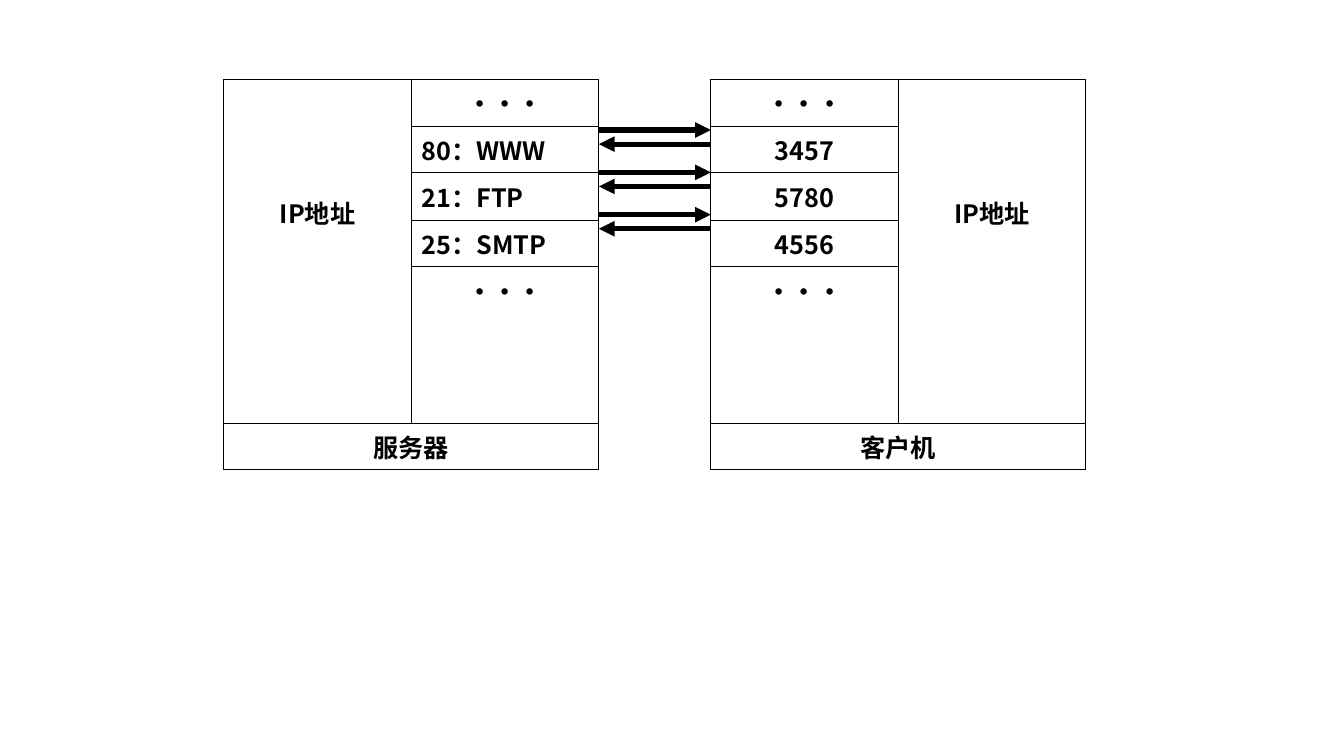
from lxml.etree import SubElement
from pptx import Presentation
from pptx.dml.color import RGBColor
from pptx.enum.lang import MSO_LANGUAGE_ID as Language
from pptx.enum.shapes import MSO_CONNECTOR as Connector
from pptx.enum.text import PP_ALIGN as Align
from pptx.oxml import parse_xml
from pptx.oxml.ns import nsdecls, qn
from pptx.util import Inches, Pt

BLACK = RGBColor(0, 0, 0)
FONT = "Noto Sans CJK SC"
ROW_HEIGHTS = [0.46, 0.46, 0.47, 0.46, 1.55, 0.46]
ADDRESS_TOP = 1.14
DOTS = "···"


def add_borders(cell):
    """Draw a thin black border on every side of a cell."""
    properties = cell._tc.get_or_add_tcPr()
    for index, side in enumerate(("lnL", "lnR", "lnT", "lnB")):
        properties.insert(index, parse_xml(
            f'<a:{side} {nsdecls("a")} w="12700"><a:solidFill>'
            f'<a:srgbClr val="{BLACK}"/></a:solidFill></a:{side}>'))


def write_cell(cell, text, align=Align.CENTER):
    """Write one bold line of text in a cell."""
    para = cell.text_frame.paragraphs[0]
    para.alignment = align
    span = para.add_run()
    span.text = text
    span.font.name = FONT
    span.font.size = Pt(18)
    span.font.bold = True
    span.font.color.rgb = BLACK
    span.font.language_id = Language.SIMPLIFIED_CHINESE
    SubElement(span.font._element, qn("a:ea"), typeface=FONT)


def add_host(page, box, name, ports, port_column, port_align):
    """Add a host table with its IP address, its ports and its name."""
    left, top, width = box
    rows = len(ROW_HEIGHTS)
    table = page.shapes.add_table(
        rows, 2, Inches(left), Inches(top),
        Inches(width), Inches(sum(ROW_HEIGHTS))).table
    table.first_row = table.horz_banding = False
    for column in table.columns:
        column.width = Inches(width / 2)
    for row, height in zip(table.rows, ROW_HEIGHTS):
        row.height = Inches(height)
    for cell in table.iter_cells():
        cell.fill.background()
        add_borders(cell)

    address = table.cell(0, 1 - port_column)
    address.merge(table.cell(rows - 2, 1 - port_column))
    address.margin_top = Inches(ADDRESS_TOP)
    write_cell(address, "IP地址")
    for index, port in enumerate([DOTS, *ports, DOTS]):
        align = Align.CENTER if port == DOTS else port_align
        write_cell(table.cell(index, port_column), port, align)
    footer = table.cell(rows - 1, 0)
    footer.merge(table.cell(rows - 1, 1))
    write_cell(footer, name)


def add_arrow(group, start, end, level):
    """Add a thick horizontal arrow to a group."""
    arrow = group.shapes.add_connector(
        Connector.STRAIGHT, Inches(start), Inches(level), Inches(end), Inches(level))
    arrow.line.color.rgb = BLACK
    arrow.line.width = Pt(3.75)
    SubElement(arrow.line._get_or_add_ln(), qn("a:tailEnd"), type="triangle")
    SubElement(arrow._element.spPr, qn("a:effectLst"))


def add_exchanges(page, box, count):
    """Add evenly spaced pairs of request and reply arrows."""
    left, top, width, height = box
    pitch = height / count
    for index in range(count):
        pair = page.shapes.add_group_shape()
        level = top + index * pitch
        add_arrow(pair, left, left + width, level)
        add_arrow(pair, left + width, left, level + pitch / 3)


def main():
    """Build the slide and save the deck."""
    deck = Presentation()
    deck.slide_width, deck.slide_height = Inches(13.33), Inches(7.5)
    page = deck.slides.add_slide(deck.slide_layouts[6])
    server_ports = ["80：WWW", "21：FTP", "25：SMTP"]
    client_ports = ["3457", "5780", "4556"]
    add_host(page, (2.22, 0.79, 3.72), "服务器", server_ports, 1, Align.LEFT)
    add_host(page, (7.05, 0.79, 3.72), "客户机", client_ports, 0, Align.CENTER)
    add_exchanges(page, (5.94, 1.29, 1.11, 1.26), len(server_ports))
    deck.save("out.pptx")


main()
